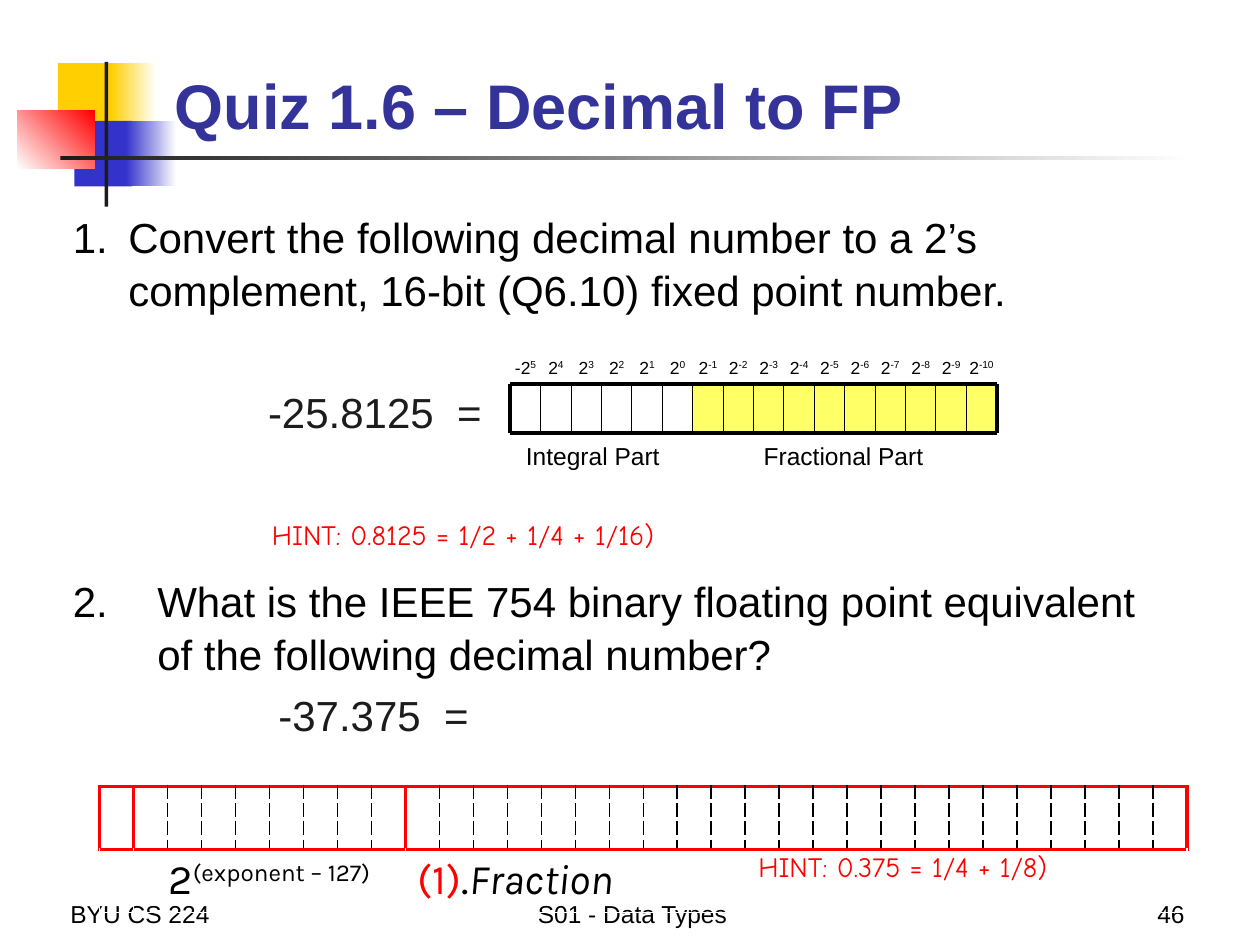
from pptx import Presentation
from pptx.dml.color import RGBColor
from pptx.enum.shapes import MSO_CONNECTOR, MSO_SHAPE
from pptx.enum.text import MSO_ANCHOR, MSO_AUTO_SIZE, PP_ALIGN
from pptx.oxml.ns import qn
from pptx.util import Inches, Pt
from lxml.etree import SubElement


def color(hex_value):
    return RGBColor.from_string(hex_value)


def add_text(place, spans, size=14, ink="000000", font="Arial", bold=False,
             anchor=MSO_ANCHOR.TOP, align=PP_ALIGN.LEFT, wrap=True, inset=None):
    """Add a one-paragraph text box; spans are (text, baseline shift) pairs."""
    box = page.shapes.add_textbox(*map(Inches, place))
    frame = box.text_frame
    settings = {"word_wrap": wrap, "auto_size": MSO_AUTO_SIZE.NONE, "vertical_anchor": anchor}
    if inset is not None:
        for side in ("left", "right", "top", "bottom"):
            settings["margin_" + side] = Inches(inset)
    for name, value in settings.items():
        setattr(frame, name, value)
    para = frame.paragraphs[0]
    para.alignment = align
    for text, shift in spans:
        span = para.add_run()
        span.text = text
        for name, value in {"size": Pt(size), "name": font, "bold": bold}.items():
            setattr(span.font, name, value)
        span.font.color.rgb = color(ink)
        if shift:
            span.font._element.set("baseline", str(shift))
    return para


deck = Presentation()
deck.slide_width, deck.slide_height = Inches(10), Inches(7.5)
page = deck.slides.add_slide(deck.slide_layouts[6])

# Corner decoration: place, colours (two make a gradient), gradient angle
decoration = [
    ((0.46, 0.5, 0.48, 0.52), ["FFCF01"], 0),
    ((0.88, 0.5, 0.36, 0.52), ["FFCF01", "FFFFFF"], 0),
    ((0.59, 0.96, 0.46, 0.52), ["3333CC"], 0),
    ((1, 0.96, 0.4, 0.52), ["3333CC", "FFFFFF"], 0),
    ((0.14, 0.88, 0.61, 0.46), ["FFFFFF", "FF0000"], 45),
    ((0.83, 0.49, 0.03, 1.15), ["1C1C1C"], 0),
    ((0.48, 1.24, 9, 0.03), ["1C1C1C", "FFFFFF"], 0),
]
for place, colors, angle in decoration:
    block = page.shapes.add_shape(MSO_SHAPE.RECTANGLE, *map(Inches, place))
    block.shadow.inherit = False
    block.line.fill.background()
    if len(colors) == 1:
        block.fill.solid()
        block.fill.fore_color.rgb = color(colors[0])
    else:
        block.fill.gradient()
        block.fill.gradient_angle = angle
        for stop, shade in zip(block.fill.gradient_stops, colors):
            stop.color.rgb = color(shade)

# Footer and title
footer = [
    ((0.46, 6.92, 2.08, 0.5), "BYU CS 224", PP_ALIGN.LEFT),
    ((2.92, 6.92, 4.2, 0.5), "S01 - Data Types", PP_ALIGN.CENTER),
    ((7.42, 6.92, 2.08, 0.5), "46", PP_ALIGN.RIGHT),
]
for place, text, align in footer:
    add_text(place, [(text, 0)], anchor=MSO_ANCHOR.BOTTOM, align=align)
add_text((1.29, 0.23, 8.52, 0.95), [("Quiz 1.6 – Decimal to FP", 0)], size=36,
         ink="333399", bold=True, anchor=MSO_ANCHOR.BOTTOM)

# Fixed point register: 6 integral bits, 10 fractional bits
left, right, top, bottom = 4.05, 7.91, 3.05, 3.44
bits, integral_bits = 16, 6
step = (right - left) / bits
for place, text in [((5.5, 3.35, 2.39, 0.53), "Fractional Part"),
                    ((3.91, 3.35, 1.59, 0.53), "Integral Part")]:
    add_text(place, [(text, 0)], anchor=MSO_ANCHOR.MIDDLE, align=PP_ALIGN.CENTER, inset=0)
for bit in range(bits):
    x = left + bit * step
    if bit >= integral_bits:
        cell = page.shapes.add_shape(MSO_SHAPE.RECTANGLE, Inches(x), Inches(top),
                                     Inches(step), Inches(bottom - top))
        cell.shadow.inherit = False
        cell.fill.solid()
        cell.fill.fore_color.rgb = color("FFFF66")
        cell.line.fill.background()
    base = "-2" if bit == 0 else "2"
    add_text((x, 2.78, step, 0.27), [(base, 0), (str(integral_bits - 1 - bit), 30000)],
             size=10, anchor=MSO_ANCHOR.MIDDLE, align=PP_ALIGN.CENTER, wrap=False, inset=0)

# Register dividers, then its outline
rules = [(left + bit * step, top, left + bit * step, bottom, 1 if bit == 8 else 0.5)
         for bit in range(1, bits)]
rules += [(left, y, right, y, 2.25) for y in (top, bottom)]
rules += [(x, top, x, bottom, 2.25) for x in (left, right)]
for *ends, width in rules:
    rule = page.shapes.add_connector(MSO_CONNECTOR.STRAIGHT, *map(Inches, ends))
    rule.line.color.rgb = color("000000")
    rule.line.width = Pt(width)
    SubElement(rule._element.spPr, qn("a:effectLst"))

# Question 1
question = add_text(
    (0.48, 1.61, 8.8, 1.16),
    [("1.\tConvert the following decimal number to a 2’s complement, "
      "16-bit (Q6.10) fixed point number.", 0)], size=24)
question.line_spacing = 1.05
indent = question._p.get_or_add_pPr()
indent.set("marL", str(Inches(0.44)))
indent.set("indent", str(-Inches(0.44)))
add_text((2.02, 3.02, 1.91, 0.5), [("-25.8125  =", 0)], size=24, ink="1C1C1C",
         align=PP_ALIGN.CENTER, wrap=False)

# Floating point word: sign, 8 exponent bits, 23 fraction bits
columns = 32
table = page.shapes.add_table(3, columns, Inches(0.79), Inches(5.74),
                              Inches(8.64), Inches(1.5)).table
table.first_row = table.horz_banding = False
for column in table.columns:
    column.width = Inches(0.27)
red, dashed = ("FF0000", 2.25, "solid"), ("000000", 1, "dash")
field_edges = (0, 1, 9, columns)
for row in range(3):
    for column in range(columns):
        cell = table.cell(row, column)
        borders = {}
        if row == 1:
            borders["L"] = red if column in field_edges else dashed
            borders["R"] = red if column + 1 in field_edges else dashed
        if row > 0:
            borders["T"] = red
        if row < 2:
            borders["B"] = red
        for side, (ink, width, dash) in borders.items():
            edge = SubElement(cell._tc.get_or_add_tcPr(), qn("a:ln" + side), w=str(Pt(width)))
            paint = SubElement(edge, qn("a:solidFill"))
            SubElement(paint, qn("a:srgbClr"), val=ink)
            SubElement(edge, qn("a:prstDash"), val=dash)
        cell.fill.background()

# Field captions: text, colour, baseline shift, italic
captions = [
    (1, 8, PP_ALIGN.CENTER, [("2", "000000", 0, False), ("(exponent – 127)", "000000", 30000, False)]),
    (9, 31, PP_ALIGN.JUSTIFY, [("(1)", "FF0000", 0, False), (".", "000000", 0, False),
                               ("Fraction", "000000", 0, True)]),
]
for first, last, align, spans in captions:
    cell = table.cell(2, first)
    cell.merge(table.cell(2, last))
    para = cell.text_frame.paragraphs[0]
    para.alignment = align
    for text, ink, shift, italic in spans:
        span = para.add_run()
        span.text = text
        for name, value in {"size": Pt(24), "name": "Karla", "italic": italic}.items():
            setattr(span.font, name, value)
        span.font.color.rgb = color(ink)
        span.font._element.set("baseline", str(shift))

# Question 2
question = add_text(
    (0.48, 4.5, 9, 1.19),
    [("What is the IEEE 754 binary floating point equivalent of "
      "the following decimal number?", 0)], size=24)
question.line_spacing = 1.05
indent = question._p.get_or_add_pPr()
indent.set("marL", str(Inches(0.67)))
indent.set("indent", str(-Inches(0.67)))
SubElement(indent, qn("a:buFont"), typeface="Arial")
SubElement(indent, qn("a:buAutoNum"), type="arabicPeriod", startAt="2")
add_text((2.1, 5.42, 1.73, 0.5), [("-37.375  =", 0)], size=24, ink="1C1C1C",
         align=PP_ALIGN.CENTER, wrap=False)

# Hints
for place, text in [((2.06, 4.06, 3.98, 0.37), "HINT: 0.8125 = 1/2 + 1/4 + 1/16)"),
                    ((5.92, 6.69, 3.28, 0.37), "HINT: 0.375 = 1/4 + 1/8)")]:
    add_text(place, [(text, 0)], size=16, ink="FF0000", font="Comic Neue")

deck.save("out.pptx")
